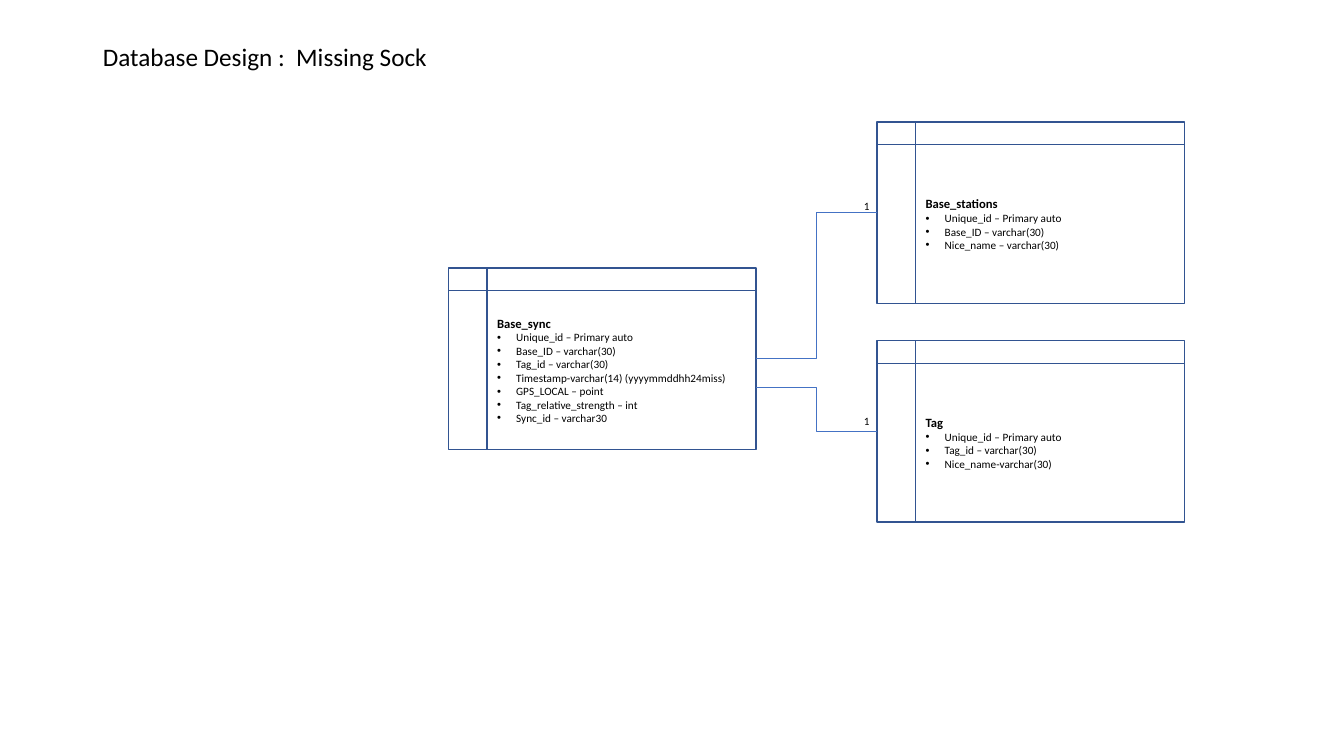
"""Build the Missing Sock database design slide."""
from lxml import etree
from pptx import Presentation
from pptx.dml.color import RGBColor
from pptx.enum import shapes, text
from pptx.oxml import ns
from pptx.util import Inches, Pt

FONT = "Calibri"
BLACK = RGBColor(0x00, 0x00, 0x00)
WHITE = RGBColor(0xFF, 0xFF, 0xFF)
BORDER = RGBColor(0x32, 0x54, 0x91)
LINK = RGBColor(0x44, 0x72, 0xC4)

ENTITY_WIDTH, ENTITY_HEIGHT = 3.05, 1.8
SYNC_LEFT, SYNC_TOP = 4.45, 2.66
LOOKUP_LEFT = 8.7


def format_paragraph(paragraph, size, bold=False):
    paragraph.alignment = text.PP_ALIGN.LEFT
    paragraph.font.name = FONT
    paragraph.font.size = Pt(size)
    paragraph.font.bold = bold
    paragraph.font.color.rgb = BLACK


def add_bullet(paragraph):
    properties = paragraph._p.get_or_add_pPr()
    indent = Inches(0.19)
    properties.set("marL", str(indent))
    properties.set("indent", str(-indent))
    etree.SubElement(properties, ns.qn("a:buFont"), typeface="Arial")
    etree.SubElement(properties, ns.qn("a:buChar"), char="•")


def set_title(slide, wording):
    title = slide.shapes.title
    title.left, title.top = Inches(0.92), Inches(0.4)
    title.width, title.height = Inches(3.54), Inches(0.35)
    frame = title.text_frame
    frame.text = wording
    frame.word_wrap = True
    frame.auto_size = text.MSO_AUTO_SIZE.NONE
    frame.vertical_anchor = text.MSO_ANCHOR.MIDDLE
    paragraph = frame.paragraphs[0]
    paragraph.line_spacing = 0.9
    format_paragraph(paragraph, 18)


def add_entity(slide, left, top, name, fields):
    entity = slide.shapes.add_shape(
        shapes.MSO_SHAPE.FLOWCHART_INTERNAL_STORAGE,
        Inches(left), Inches(top), Inches(ENTITY_WIDTH), Inches(ENTITY_HEIGHT))
    entity.shadow.inherit = False
    entity.fill.solid()
    entity.fill.fore_color.rgb = WHITE
    entity.line.color.rgb = BORDER
    entity.line.width = Pt(1)
    frame = entity.text_frame
    frame.word_wrap = True
    frame.vertical_anchor = text.MSO_ANCHOR.MIDDLE
    heading = frame.paragraphs[0]
    heading.text = name
    format_paragraph(heading, 9, bold=True)
    for field in fields:
        paragraph = frame.add_paragraph()
        paragraph.text = field
        add_bullet(paragraph)
        format_paragraph(paragraph, 8)


def add_relation(slide, lookup_top, sync_y):
    connector = slide.shapes.add_connector(
        shapes.MSO_CONNECTOR.ELBOW,
        Inches(LOOKUP_LEFT), Inches(lookup_top + ENTITY_HEIGHT / 2),
        Inches(SYNC_LEFT + ENTITY_WIDTH), Inches(sync_y))
    connector.line.color.rgb = LINK
    connector.line.width = Pt(0.5)
    etree.SubElement(connector._element.spPr, ns.qn("a:effectLst"))


def add_cardinality(slide, top):
    label = slide.shapes.add_textbox(
        Inches(8.47), Inches(top), Inches(0.24), Inches(0.24))
    frame = label.text_frame
    frame.margin_right = 0
    frame.word_wrap = True
    frame.text = "1"
    format_paragraph(frame.paragraphs[0], 8)


def main():
    presentation = Presentation()
    presentation.slide_width = Inches(13.33)
    presentation.slide_height = Inches(7.5)
    slide = presentation.slides.add_slide(presentation.slide_layouts[5])
    set_title(slide, "Database Design :  Missing Sock")

    add_entity(slide, SYNC_LEFT, SYNC_TOP, "Base_sync", [
        "Unique_id – Primary auto",
        "Base_ID – varchar(30)",
        "Tag_id – varchar(30)",
        "Timestamp-varchar(14) (yyyymmddhh24miss)",
        "GPS_LOCAL – point",
        "Tag_relative_strength – int",
        "Sync_id – varchar30",
    ])
    add_entity(slide, LOOKUP_LEFT, 1.21, "Base_stations", [
        "Unique_id – Primary auto",
        "Base_ID – varchar(30)",
        "Nice_name – varchar(30)",
    ])
    add_entity(slide, LOOKUP_LEFT, 3.38, "Tag", [
        "Unique_id – Primary auto",
        "Tag_id – varchar(30)",
        "Nice_name-varchar(30)",
    ])
    add_relation(slide, 1.21, 3.56)
    add_relation(slide, 3.38, 3.84)
    for label_top in (4.06, 1.93):
        add_cardinality(slide, label_top)

    presentation.save("out.pptx")


if __name__ == "__main__":
    main()
